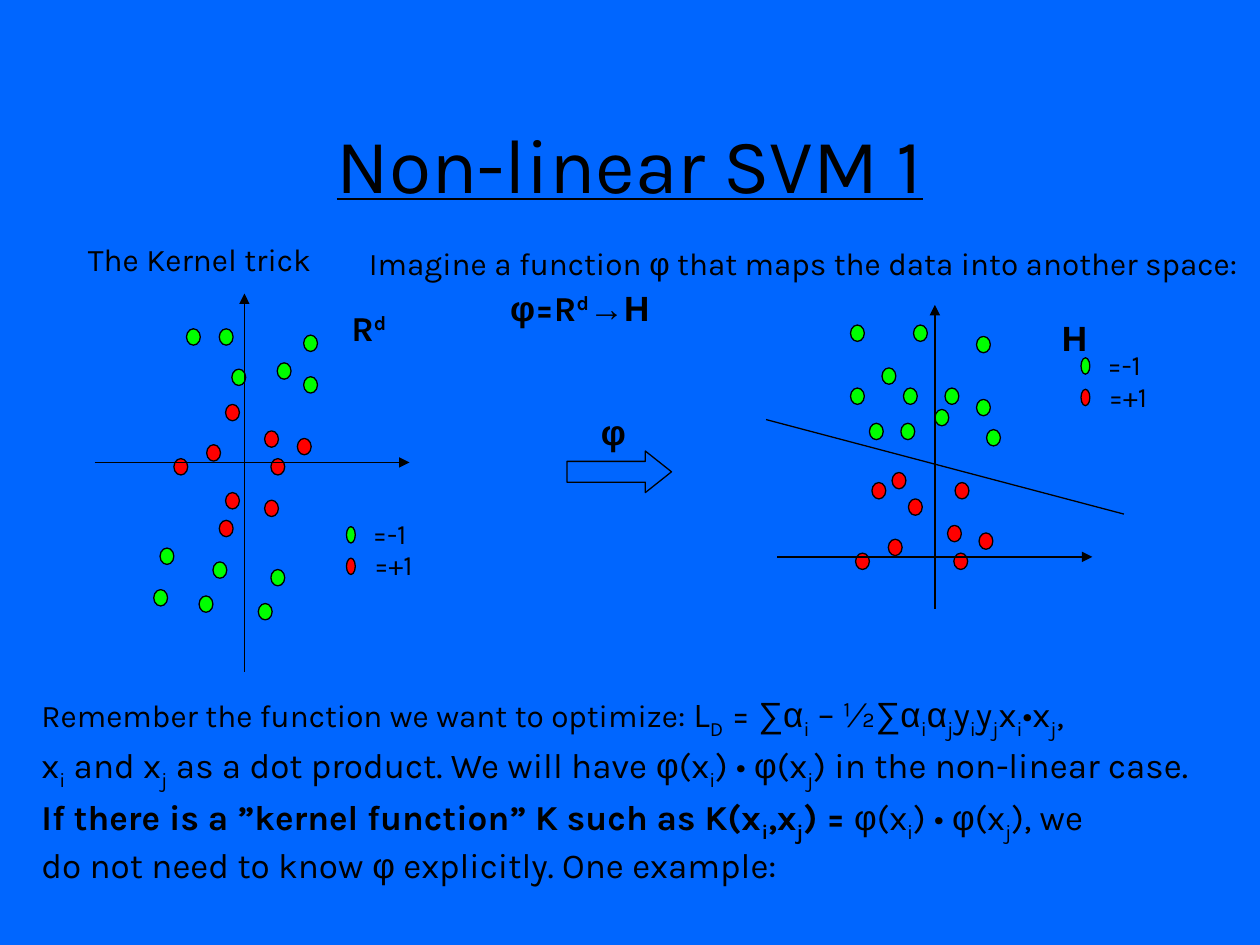
import pptx
import pptx.util
import pptx.dml.color
import pptx.enum.shapes
import pptx.enum.text
import pptx.oxml
import pptx.oxml.ns

Inches = pptx.util.Inches
Pt = pptx.util.Pt
SHAPE = pptx.enum.shapes.MSO_SHAPE

COLORS = {"back": "0066FF", "ink": "000000", "minus": "00FF00", "plus": "FF0000"}
FONT, GREEK = "Karla", "Arial"
BASE = {"_": "-25000", "^": "30000"}  # subscript and superscript marks

# Left and top of each dot
INPUT = {
    "minus": [(1.84, 2.93), (2.2, 2.88), (2.15, 4.52), (1.22, 4.68), (1.58, 4.73),
              (2.05, 4.79), (1.48, 2.61), (1.27, 4.35), (1.69, 4.46), (1.74, 2.61),
              (2.41, 2.66), (2.41, 2.99)],
    "plus": [(2.1, 3.97), (2.36, 3.48), (1.74, 4.13), (2.15, 3.64), (1.79, 3.21),
             (1.79, 3.91), (2.1, 3.42), (1.64, 3.53), (1.38, 3.64)],
}
MAPPED = {
    "minus": [(7.25, 2.58), (7.42, 3.25), (7.75, 3.17), (6.75, 2.58), (7, 2.92),
              (7.5, 3.08), (6.9, 3.36), (6.75, 3.08), (7.17, 3.08), (7.15, 3.36),
              (7.83, 3.41), (7.75, 2.67)],
    "plus": [(7.58, 3.83), (7.77, 4.23), (6.92, 3.83), (7.57, 4.39), (7.21, 3.96),
             (7.08, 3.75), (7.52, 4.17), (7.05, 4.28), (6.79, 4.39)],
}


def color(name):
    return pptx.dml.color.RGBColor.from_string(COLORS[name])


def add_run(para, text, size, bold=False):
    """Add one run; a leading _ or ^ lowers or raises it."""
    mark = text[0] if text[0] in BASE else ""
    run = para.add_run()
    run.text = text[len(mark):]
    font = run.font
    font.size = Pt(size)
    font.bold = bold
    font.name = GREEK if run.text[0] in "φ∑α→Η" else FONT
    font.color.rgb = color("ink")
    if mark:
        font._element.set("baseline", BASE[mark])
    return run


def add_text(slide, box, paras):
    """Each paragraph is a list of (runs split by |, size, bold)."""
    frame = slide.shapes.add_textbox(*map(Inches, box)).text_frame
    frame.word_wrap = False
    frame.auto_size = pptx.enum.text.MSO_AUTO_SIZE.SHAPE_TO_FIT_TEXT
    for i, parts in enumerate(paras):
        para = frame.add_paragraph() if i else frame.paragraphs[0]
        para.line_spacing = 0.9
        para.space_before = Pt(parts[-1][1] / 4)
        for text, size, bold in parts:
            for piece in text.split("|"):
                add_run(para, piece, size, bold)
    return frame


def add_shape(slide, kind, box, fill):
    shape = slide.shapes.add_shape(kind, *map(Inches, box))
    shape.shadow.inherit = False
    shape.fill.solid()
    shape.fill.fore_color.rgb = color(fill)
    shape.line.color.rgb = color("ink")
    shape.line.width = Pt(0.75)
    return shape


def add_line(slide, ends, arrow=True):
    line = slide.shapes.add_connector(
        pptx.enum.shapes.MSO_CONNECTOR.STRAIGHT, *map(Inches, ends))
    line.line.color.rgb = color("ink")
    line.line.width = Pt(0.75)
    if arrow:
        tail = pptx.oxml.parse_xml(
            "<a:tailEnd %s type='triangle'/>" % pptx.oxml.ns.nsdecls("a"))
        line.line._get_or_add_ln().append(tail)
    line._element.spPr.append(
        pptx.oxml.parse_xml("<a:effectLst %s/>" % pptx.oxml.ns.nsdecls("a")))


def add_key(slide, x, y):
    rows = [("minus", "=-1", 0.52), ("plus", "=+1", 0.58)]
    for i, (name, label, width) in enumerate(rows):
        top = y + 0.25 * i
        add_shape(slide, SHAPE.OVAL, (x, top, 0.07, 0.13), name)
        add_text(slide, (x + 0.11 + 0.01 * i, top - 0.1, width, 0.34),
                 [[(label, 16, False)]])


def add_plot(slide, dots, axes, key):
    for name, spots in dots.items():
        for x, y in spots:
            add_shape(slide, SHAPE.OVAL, (x, y, 0.11, 0.13), name)
    for ends in axes:
        add_line(slide, ends)
    add_key(slide, *key)


def add_title(slide, text):
    title = slide.shapes.title
    title.left, title.top, title.width, title.height = map(
        Inches, (0.75, 0.67, 8.5, 1.25))
    frame = title.text_frame
    frame.vertical_anchor = pptx.enum.text.MSO_ANCHOR.MIDDLE
    para = frame.paragraphs[0]
    para.alignment = pptx.enum.text.PP_ALIGN.CENTER
    add_run(para, text, 44).font.underline = True


def main():
    deck = pptx.Presentation()
    deck.slide_width, deck.slide_height = Inches(10), Inches(7.5)
    slide = deck.slides.add_slide(deck.slide_layouts[5])
    slide.background.fill.solid()
    slide.background.fill.fore_color.rgb = color("back")

    # Heading and introduction
    add_title(slide, "Non-linear SVM 1")
    add_text(slide, (0.6, 1.89, 2.03, 0.37), [[("The Kernel trick", 18, False)]])
    intro = add_text(slide, (2.83, 1.92, 7.24, 0.74), [
        [("Imagine a function |φ| that maps the data into another space:", 18, False)],
        [("φ|=R|^d|→Η", 20, True)],
    ])
    intro.paragraphs[1]._p.get_or_add_pPr().set("marL", str(Inches(1.12)))

    # Input space and mapped space
    add_plot(slide, INPUT, [(1.94, 5.33, 1.94, 2.33), (0.75, 3.67, 3.25, 3.67)],
             (2.75, 4.18))
    add_plot(slide, MAPPED, [(7.42, 4.83, 7.42, 2.42), (6.17, 4.42, 8.67, 4.42)],
             (8.58, 2.84))
    add_line(slide, (6.08, 3.33, 8.92, 4.08), arrow=False)

    # Mapping arrow and labels
    arrow = add_shape(slide, SHAPE.RIGHT_ARROW, (4.5, 3.58, 0.83, 0.33), "back")
    arrow.adjustments[1] = 0.63
    for label, box in [("R|^d", (2.69, 2.42, 0.48, 0.4)),
                       ("Η", (8.33, 2.5, 0.4, 0.4)),
                       ("φ", (4.67, 3.25, 0.34, 0.4))]:
        add_text(slide, box, [[(label, 20, True)]])

    # Closing explanation
    add_text(slide, (0.23, 5.45, 9.55, 1.63), [
        [("Remember the function we want to optimize: ", 18, False),
         ("L|_D| = |∑α|_i| – ½|∑α|_i|α|_j|y|_i|y|_j|x|_i|•x|_j|,", 20, False)],
        [("x|_i| and x|_j| as a dot product. We will have |φ|(x|_i|) • |φ|(x|_j"
          "|) in the non-linear case.", 20, False)],
        [("If there is a ”kernel function” K such as K(x|_i|,x|_j|) = ", 20, True),
         ("φ|(x|_i|) • |φ|(x|_j|), we", 20, False)],
        [("do not need to know |φ| explicitly. One example:", 20, False)],
    ])
    deck.save("out.pptx")


if __name__ == "__main__":
    main()
